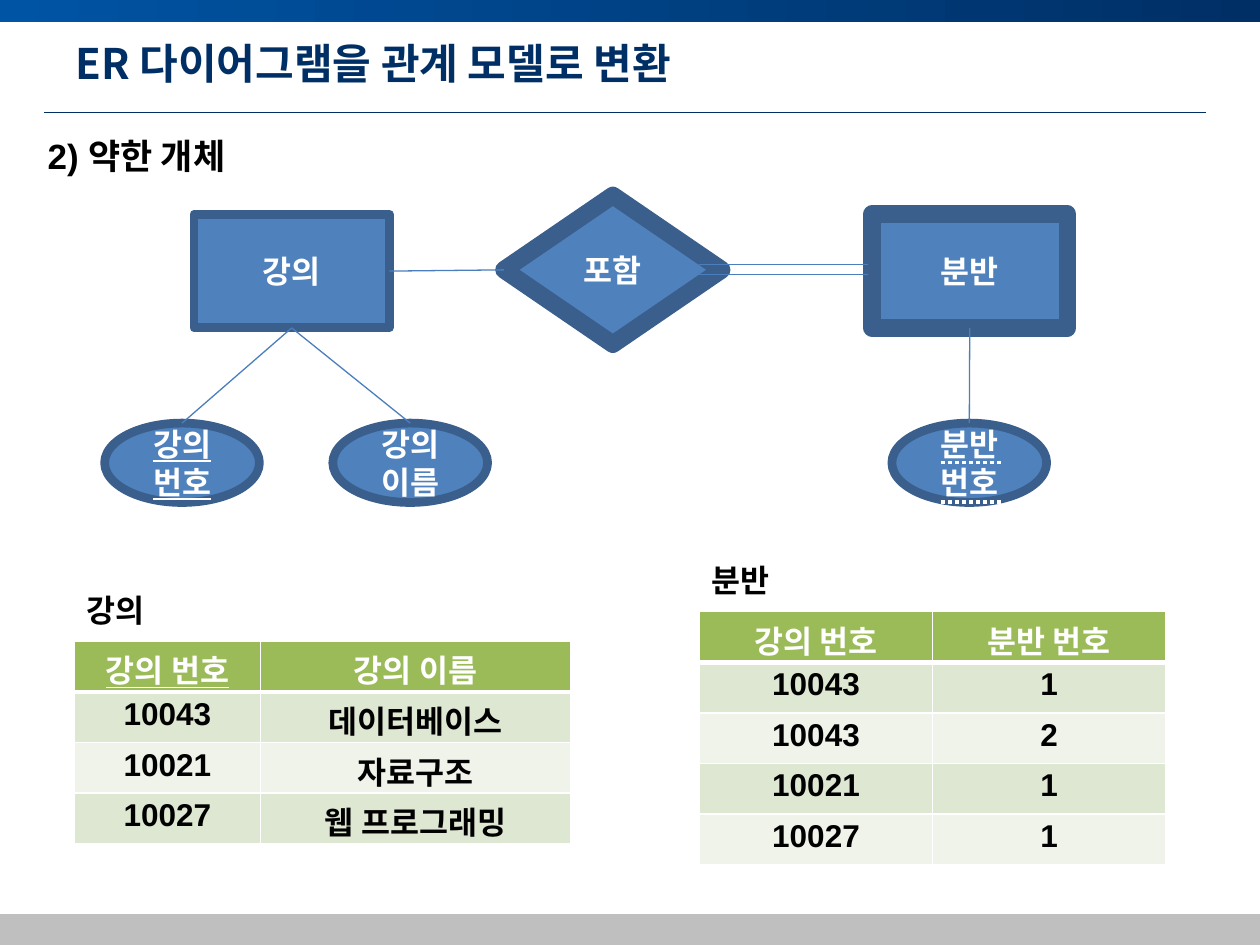
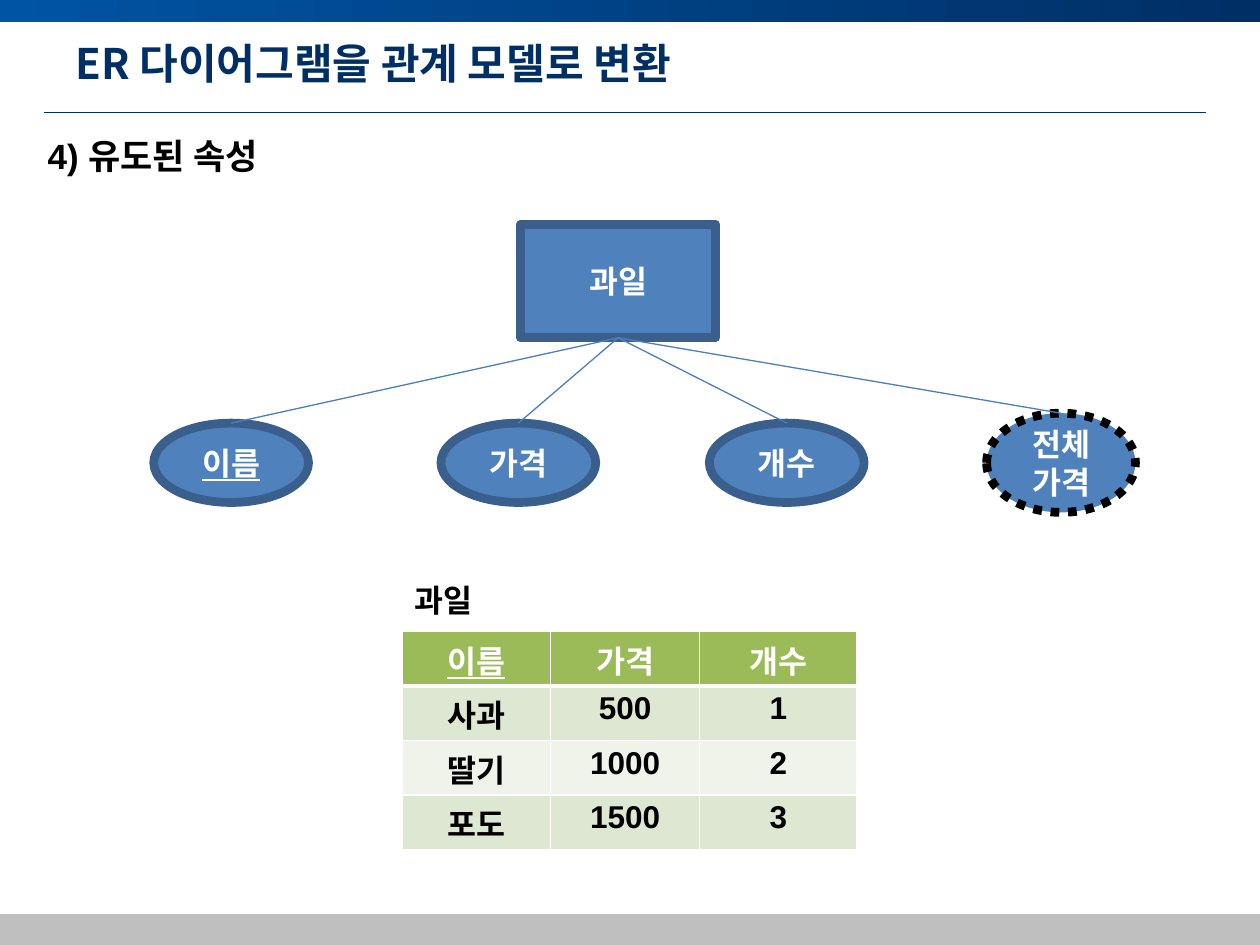
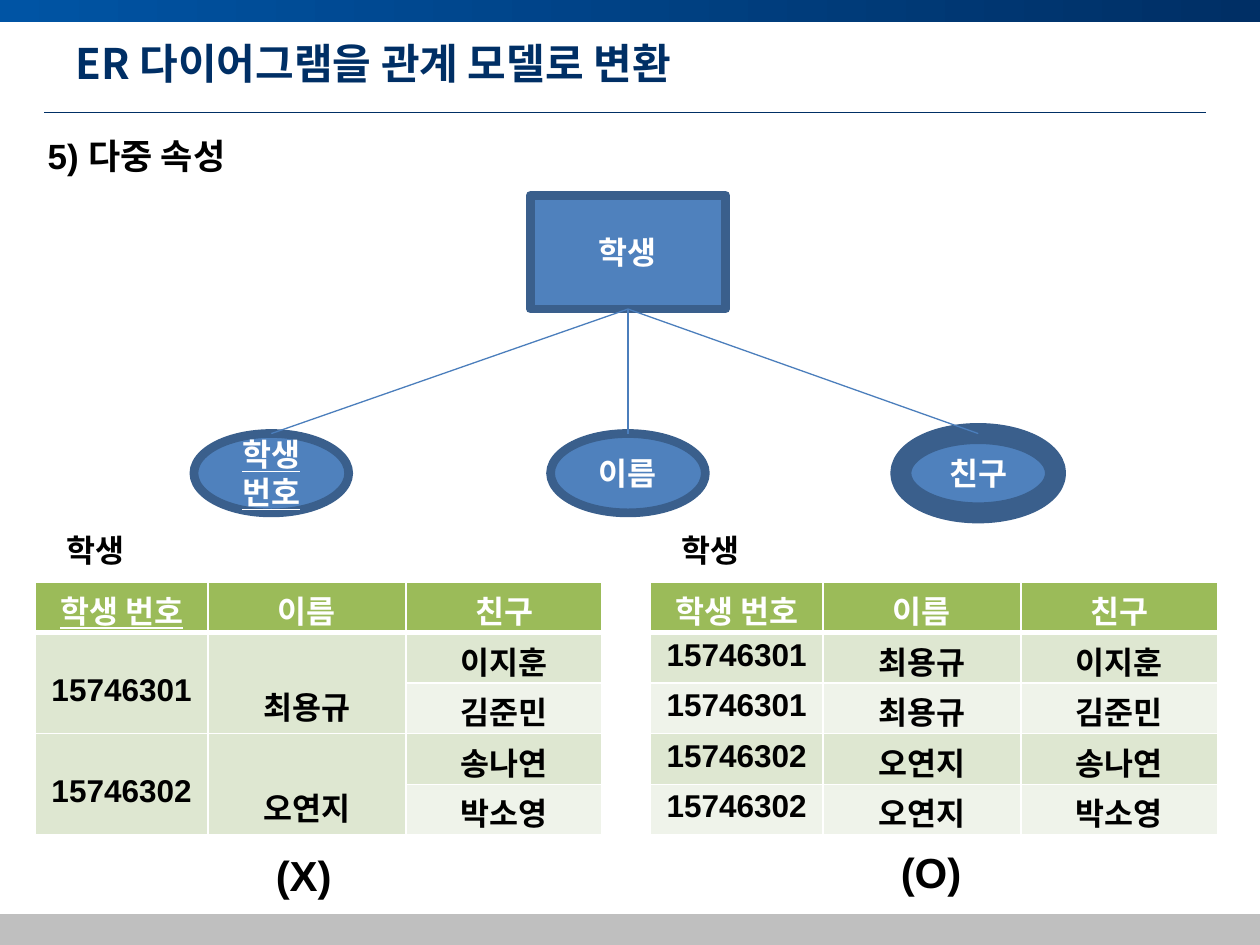
import lxml.etree
import pptx
import pptx.dml.color
import pptx.enum.dml
import pptx.enum.shapes
import pptx.enum.text
import pptx.oxml.ns
import pptx.util

Cm = pptx.util.Cm
Pt = pptx.util.Pt
RGBColor = pptx.dml.color.RGBColor
Shape = pptx.enum.shapes.MSO_SHAPE
Align = pptx.enum.text.PP_ALIGN
Anchor = pptx.enum.text.MSO_ANCHOR
qn = pptx.oxml.ns.qn

NAVY = RGBColor(0x00, 0x2F, 0x65)
BRIGHT_BLUE = RGBColor(0x00, 0x54, 0xA4)
FOOTER_GRAY = RGBColor(0xBF, 0xBF, 0xBF)
NODE_BLUE = RGBColor(0x4F, 0x81, 0xBD)
NODE_EDGE = RGBColor(0x3A, 0x5F, 0x8C)
LINK_BLUE = RGBColor(0x4B, 0x7E, 0xBC)
HEADER_GREEN = RGBColor(0x9B, 0xBB, 0x59)
BAND_DARK = RGBColor(0xDE, 0xE7, 0xD1)
BAND_LIGHT = RGBColor(0xEF, 0xF3, 0xEA)
WHITE = RGBColor(0xFF, 0xFF, 0xFF)
BLACK = RGBColor(0x00, 0x00, 0x00)

KOREAN = "Noto Sans CJK KR"
LATIN = "Arial"
TITLE = "ER 다이어그램을 관계 모델로 변환"
TITLE_ONLY = 5
DOTTED = pptx.enum.dml.MSO_LINE.ROUND_DOT
TOP, LEFT, BOTTOM, RIGHT = range(4)
OVAL_SIZE = (3.12, 1.6)


class DiagramDeck:
    def __init__(self):
        self.deck = pptx.Presentation()
        self.deck.slide_width = Cm(25.4)
        self.deck.slide_height = Cm(19.05)
        self.layout = self.deck.slide_layouts[TITLE_ONLY]
        self.page = None

    def open_page(self, heading):
        self.page = self.deck.slides.add_slide(self.layout)
        title = self.page.shapes.title
        title.left, title.top = Cm(1.27), Cm(0.76)
        title.width, title.height = Cm(22.86), Cm(1.47)
        frame = title.text_frame
        frame.auto_size = pptx.enum.text.MSO_AUTO_SIZE.NONE
        frame.vertical_anchor = Anchor.TOP
        frame.margin_top = frame.margin_bottom = 0
        self.add_text(frame, TITLE, 24, NAVY, KOREAN, Align.LEFT)
        self.label(0.71, 2.72, 5.59, heading, 20)

    def dress_layout(self):
        band = self.shape(Shape.RECTANGLE, 0, 0, 25.4, 0.44, None)
        band.fill.gradient()
        band.fill.gradient_angle = 0
        for stop, color in zip(band.fill.gradient_stops, (BRIGHT_BLUE, NAVY)):
            stop.color.rgb = color
        rule = self.line(0.89, 2.26, 24.31, 2.26, NAVY, 0.5)
        footer = self.shape(Shape.RECTANGLE, 0, 18.43, 25.4, 0.62, FOOTER_GRAY)
        for item in (band, rule, footer):
            self.layout.shapes.element.append(item.element)

    def add_text(self, frame, text, size, color, font, align, underline=False):
        para = frame.paragraphs[0]
        para.alignment = align
        span = para.add_run()
        span.text = text
        span.font.size = Pt(size)
        span.font.bold = True
        span.font.underline = underline
        span.font.color.rgb = color
        span.font.name = font
        properties = span._r.get_or_add_rPr()
        lxml.etree.SubElement(properties, qn("a:ea"), typeface=KOREAN)
        return para

    def label(self, left, top, width, text, size=18, inset=0):
        box = self.page.shapes.add_textbox(Cm(left), Cm(top), Cm(width), Cm(1.02))
        frame = box.text_frame
        frame.word_wrap = True
        frame.margin_top = Cm(inset)
        self.add_text(frame, text, size, BLACK, LATIN, Align.LEFT)

    def shape(self, kind, left, top, width, height, fill):
        shape = self.page.shapes.add_shape(
            kind, Cm(left), Cm(top), Cm(width), Cm(height))
        shape.shadow.inherit = False
        shape.line.fill.background()
        if fill is not None:
            shape.fill.solid()
            shape.fill.fore_color.rgb = fill
        return shape

    def node(self, kind, left, top, size, text, weight=5, edge=NODE_EDGE,
             dash=None, key=False):
        node = self.shape(kind, left, top, *size, NODE_BLUE)
        node.line.color.rgb = edge
        node.line.width = Pt(weight)
        if dash is not None:
            node.line.dash_style = dash
        node.text_frame.word_wrap = True
        node.text_frame.vertical_anchor = Anchor.MIDDLE
        self.add_text(node.text_frame, text, 18, WHITE, KOREAN, Align.CENTER, key)
        return node

    def entity(self, left, top, text, weight=5):
        return self.node(Shape.RECTANGLE, left, top, (3.94, 2.29), text, weight)

    def attribute(self, owner, left, top, text, size=OVAL_SIZE, **style):
        oval = self.node(Shape.OVAL, left, top, size, text, **style)
        self.link(owner, BOTTOM, oval, TOP)

    def line(self, x1, y1, x2, y2, color=LINK_BLUE, weight=0.75, dash=None):
        line = self.page.shapes.add_connector(
            pptx.enum.shapes.MSO_CONNECTOR.STRAIGHT, Cm(x1), Cm(y1), Cm(x2), Cm(y2))
        line.line.color.rgb = color
        line.line.width = Pt(weight)
        if dash is not None:
            line.line.dash_style = dash
        lxml.etree.SubElement(line.element.spPr, qn("a:effectLst"))
        return line

    def link(self, start, start_side, end, end_side):
        line = self.line(0, 0, 1, 1)
        line.begin_connect(start, start_side)
        line.end_connect(end, end_side)

    def border(self, cell, row):
        properties = cell._tc.get_or_add_tcPr()
        weights = {"L": 1, "R": 1, "T": 3 if row == 1 else 1, "B": 3 if row == 0 else 1}
        for side, weight in weights.items():
            edge = lxml.etree.SubElement(
                properties, qn("a:ln" + side), w=str(Pt(weight)))
            fill = lxml.etree.SubElement(edge, qn("a:solidFill"))
            lxml.etree.SubElement(fill, qn("a:srgbClr"), val=str(WHITE))

    def relation(self, name, left, top, widths, rows, row_height=1.02,
                 key=True, indent=0):
        self.label(left + indent, top - 1.02, 1.8, name)
        table = self.page.shapes.add_table(
            len(rows), len(widths), Cm(left), Cm(top),
            Cm(sum(widths)), Cm(row_height * len(rows))).table
        for column, width in zip(table.columns, widths):
            column.width = Cm(width)
        for row, values in enumerate(rows):
            table.rows[row].height = Cm(row_height)
            band = BAND_DARK if row % 2 else BAND_LIGHT
            for column, text in enumerate(values):
                cell = table.cell(row, column)
                self.border(cell, row)
                cell.fill.solid()
                cell.fill.fore_color.rgb = band if row else HEADER_GREEN
                cell.margin_top, cell.margin_bottom = Cm(0.1), 0
                if text is None:
                    continue
                para = self.add_text(
                    cell.text_frame, text, 18, BLACK if row else WHITE, LATIN,
                    Align.CENTER, key and row == 0 and column == 0)
                if row + 1 < len(rows) and rows[row + 1][column] is None:
                    cell.merge(table.cell(row + 1, column))
                    para.line_spacing = 2.0


def weak_entity(slides):
    slides.open_page("2) 약한 개체")
    lecture = slides.entity(3.91, 4.32, "강의")
    section = slides.entity(17.58, 4.32, "분반", 10)
    contains = slides.node(
        Shape.FLOWCHART_DECISION, 10.16, 3.94, (4.39, 3), "포함", 10)
    slides.link(lecture, RIGHT, contains, LEFT)
    for y in (5.33, 5.54):
        slides.line(14.1, y, 17.5, y)
    slides.attribute(lecture, 2.11, 8.53, "강의번호", key=True)
    slides.attribute(lecture, 6.71, 8.53, "강의이름")
    slides.attribute(section, 17.98, 8.53, "분반번호")
    for y in (9.32, 10.12):
        slides.line(18.97, y, 20.17, y, WHITE, 2, DOTTED)
    slides.relation("분반", 14.1, 12.33, (4.7, 4.7), [
        ("강의 번호", "분반 번호"),
        ("10043", "1"),
        ("10043", "2"),
        ("10021", "1"),
        ("10027", "1"),
    ], key=False)
    slides.relation("강의", 1.5, 12.93, (3.75, 6.25), [
        ("강의 번호", "강의 이름"),
        ("10043", "데이터베이스"),
        ("10021", "자료구조"),
        ("10027", "웹 프로그래밍"),
    ])


def derived_attribute(slides):
    slides.open_page("4) 유도된 속성")
    fruit = slides.entity(10.49, 4.52, "과일")
    slides.attribute(fruit, 3.1, 8.53, "이름", key=True)
    slides.attribute(fruit, 8.89, 8.53, "가격")
    slides.attribute(fruit, 14.3, 8.53, "개수")
    slides.attribute(fruit, 19.89, 8.33, "전체 가격", (3, 2), edge=BLACK, dash=DOTTED)
    slides.relation("과일", 8.1, 12.73, (3, 3, 3.18), [
        ("이름", "가격", "개수"),
        ("사과", "500", "1"),
        ("딸기", "1000", "2"),
        ("포도", "1500", "3"),
    ], row_height=1.1)


def multivalued_attribute(slides):
    slides.open_page("5) 다중 속성")
    student = slides.entity(10.69, 3.94, "학생")
    slides.attribute(student, 3.91, 8.74, "학생번호", key=True)
    slides.attribute(student, 11.1, 8.74, "이름")
    slides.attribute(student, 18.16, 8.74, "친구", weight=12)
    header = ("학생 번호", "이름", "친구")
    students = [("15746301", "최용규", ("이지훈", "김준민")),
                ("15746302", "오연지", ("송나연", "박소영"))]
    merged, flat = [header], [header]
    for number, name, friends in students:
        merged += [(number, name, friends[0]), (None, None, friends[1])]
        flat += [(number, name, friend) for friend in friends]
    widths = (3.48, 3.99, 3.96)
    slides.relation("학생", 0.71, 11.73, widths, merged, indent=0.38)
    slides.relation("학생", 13.11, 11.73, widths, flat, key=False, indent=0.38)
    slides.label(5.31, 16.92, 1.8, "(X)", 24, 0.2)
    slides.label(17.91, 16.87, 1.8, "(O)", 24, 0.2)


def main():
    slides = DiagramDeck()
    weak_entity(slides)
    derived_attribute(slides)
    multivalued_attribute(slides)
    slides.dress_layout()
    slides.deck.save("out.pptx")


if __name__ == "__main__":
    main()
